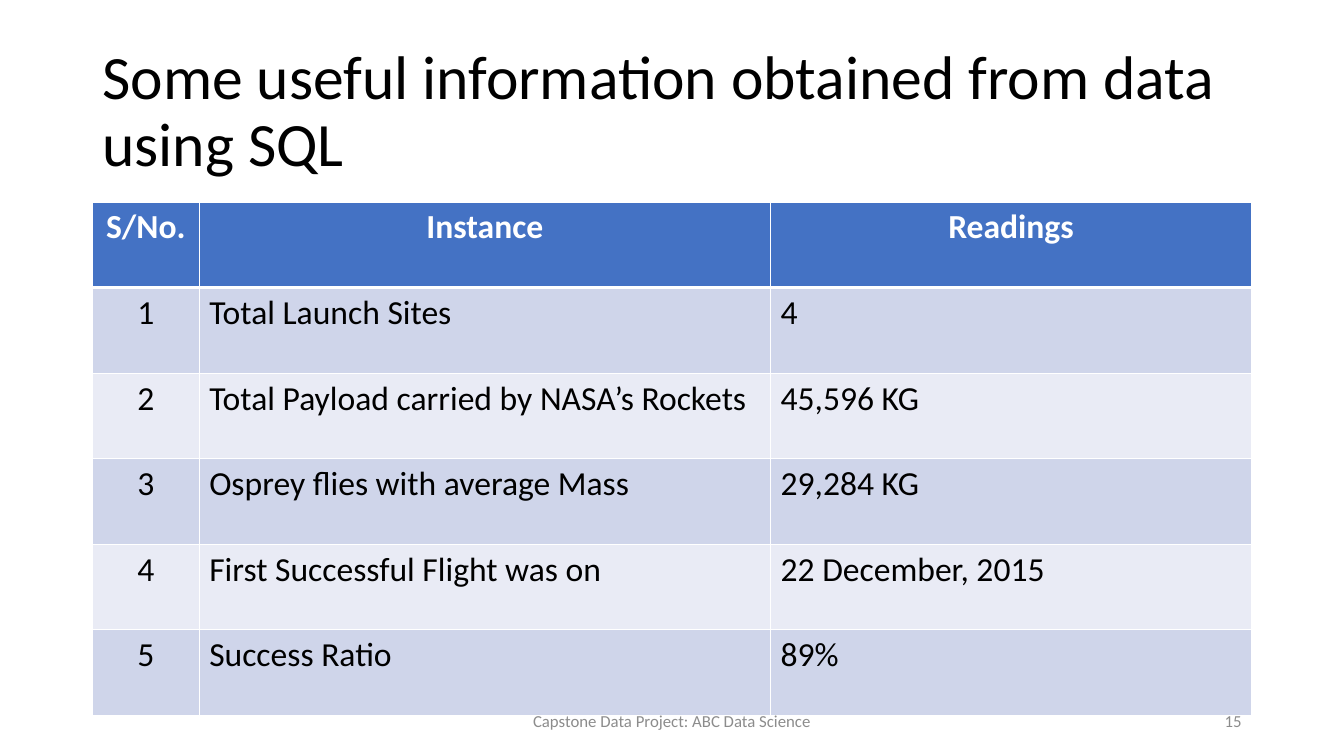
import pptx
import pptx.dml.color
import pptx.enum.text
import pptx.oxml
import pptx.oxml.ns
import pptx.util

Cm, Pt = pptx.util.Cm, pptx.util.Pt
ALIGN = pptx.enum.text.PP_ALIGN
ANCHOR = pptx.enum.text.MSO_ANCHOR

ROWS = [
    ("S/No.", "Instance", "Readings"),
    ("1", "Total Launch Sites", "4"),
    ("2", "Total Payload carried by NASA’s Rockets", "45,596 KG"),
    ("3", "Osprey flies with average Mass", "29,284 KG"),
    ("4", "First Successful Flight was on", "22 December, 2015"),
    ("5", "Success Ratio", "89%"),
]
COLUMN_WIDTHS = (2.69, 14.4, 12.12)
HEADER_FILL = "4472C4"
BAND_FILLS = ("E9EBF5", "CFD5EA")


def color(value):
    return pptx.dml.color.RGBColor.from_string(value)


def write(tf, text, size, hex_color, align=ALIGN.LEFT, bold=False, spacing=1.0):
    p = tf.paragraphs[0]
    for name, value in {"alignment": align, "line_spacing": spacing}.items():
        setattr(p, name, value)
    r = p.add_run()
    r.text = text
    for name, value in {"name": "Calibri", "size": Pt(size), "bold": bold}.items():
        setattr(r.font, name, value)
    r.font.color.rgb = color(hex_color)


def add_text(s, box, text, size, hex_color, **style):
    tf = s.shapes.add_textbox(*map(Cm, box)).text_frame
    tf.word_wrap = True
    tf.vertical_anchor = ANCHOR.MIDDLE
    write(tf, text, size, hex_color, **style)


def set_borders(cell, widths):
    tc_pr = cell._tc.get_or_add_tcPr()
    for side, width in widths.items():
        tc_pr.append(pptx.oxml.parse_xml(
            f'<a:ln{side} {pptx.oxml.ns.nsdecls("a")} w="{Pt(width)}">'
            '<a:solidFill><a:srgbClr val="FFFFFF"/></a:solidFill>'
            f'</a:ln{side}>'))


def add_title(s, box):
    add_text(s, box, "Some useful information obtained from data using SQL",
             44, "000000", spacing=0.9)


def add_readings_table(s, box):
    table = s.shapes.add_table(len(ROWS), len(COLUMN_WIDTHS), *map(Cm, box)).table
    for column, width in zip(table.columns, COLUMN_WIDTHS):
        column.width = Cm(width)
    for i, texts in enumerate(ROWS):
        header = i == 0
        for j, text in enumerate(texts):
            cell = table.cell(i, j)
            # Thick rule between the header and the first row
            set_borders(cell, {"L": 1, "R": 1, "T": 3 if i == 1 else 1,
                               "B": 3 if header else 1})
            cell.fill.solid()
            cell.fill.fore_color.rgb = color(HEADER_FILL if header else BAND_FILLS[i % 2])
            write(cell.text_frame, text, 24, "FFFFFF" if header else "000000",
                  align=ALIGN.CENTER if header or j == 0 else ALIGN.LEFT, bold=header)


def add_footer(s, box):
    left, top, width, height = box
    label_width, number_width = 11.43, 7.62
    # Project name, centred in the box
    add_text(s, (left + (width - label_width) / 2, top, label_width, height),
             "Capstone Data Project: ABC Data Science", 12, "8C8C8C", align=ALIGN.CENTER)
    # Slide number, at the right edge
    add_text(s, (left + width - number_width, top, number_width, height),
             "15", 12, "8C8C8C", align=ALIGN.RIGHT)


def main():
    prs = pptx.Presentation()
    prs.slide_width, prs.slide_height = Cm(33.87), Cm(19.05)
    s = prs.slides.add_slide(prs.slide_layouts[6])
    left, width = 2.33, sum(COLUMN_WIDTHS)
    add_title(s, (left, 1.01, width, 3.68))
    add_readings_table(s, (left, 5.09, width, 12.94))
    add_footer(s, (left, 17.66, width, 1.01))
    prs.save("out.pptx")


if __name__ == "__main__":
    main()
